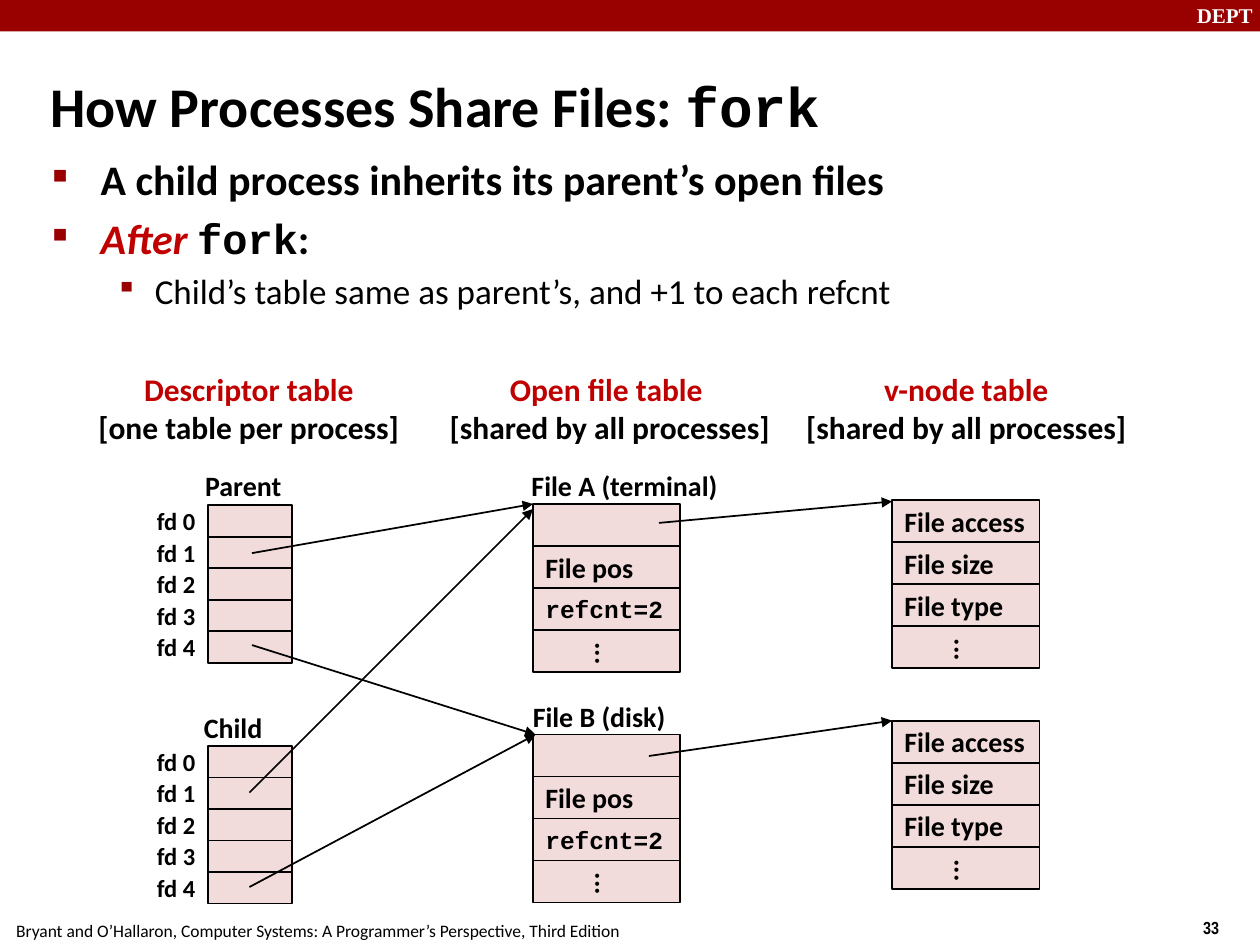
from lxml.etree import SubElement
from pptx import Presentation
from pptx.dml.color import RGBColor
from pptx.enum.shapes import MSO_CONNECTOR as Connector, MSO_SHAPE as Shape
from pptx.enum.text import MSO_ANCHOR as Anchor, PP_ALIGN as Align
from pptx.oxml.ns import qn
from pptx.util import Inches, Pt

CELL_WIDTH, CELL_HEIGHT = 1.17, 1 / 3
FD_WIDTH, FD_HEIGHT = 0.67, 0.25
FD_LEFT, FILE_LEFT, NODE_LEFT = 1.65, 4.23, 7.08


def color(value):
    return RGBColor.from_string(value)


def write(paragraph, text, size=16, font="Calibri", fill="000000", bold=True, italic=False):
    run = paragraph.add_run()
    run.text = text
    run.font.size = Pt(size)
    run.font.name = font
    run.font.bold = bold
    run.font.italic = italic
    run.font.color.rgb = color(fill)


class SlideBuilder:
    """Draws styled elements on the current slide."""

    red, accent, pink, black = "990000", "C00000", "F2DCDB", "000000"
    mono = "Courier New"

    def __init__(self, slide):
        self.slide = slide

    def text(self, left, top, width, height, *lines, anchor=Anchor.MIDDLE,
             align=Align.LEFT, wrap=False):
        box = self.slide.shapes.add_textbox(*map(Inches, (left, top, width, height)))
        frame = box.text_frame
        frame.word_wrap = wrap
        frame.vertical_anchor = anchor
        for index, runs in enumerate(lines):
            paragraph = frame.paragraphs[0] if index == 0 else frame.add_paragraph()
            paragraph.alignment = align
            for text, style in runs:
                write(paragraph, text, **style)
        return frame

    def label(self, left, top, width, height, text, align=Align.LEFT, anchor=Anchor.MIDDLE, **style):
        return self.text(left, top, width, height, [(text, style)], align=align, anchor=anchor)

    def bullet(self, paragraph, symbol, percent, margin, hanging, level, space):
        paragraph.level = level
        paragraph.space_before = Pt(space)
        properties = paragraph._p.get_or_add_pPr()
        properties.set("marL", str(Inches(margin)))
        properties.set("indent", str(-Inches(hanging)))
        bullet_color = SubElement(properties, qn("a:buClr"))
        SubElement(bullet_color, qn("a:srgbClr"), val=self.red)
        SubElement(properties, qn("a:buSzPct"), val=str(percent * 1000))
        SubElement(properties, qn("a:buChar"), char=symbol)

    def box(self, left, top, width, height, text="", fill=pink, outline=True, **style):
        shape = self.slide.shapes.add_shape(Shape.RECTANGLE, *map(Inches, (left, top, width, height)))
        shape.shadow.inherit = False
        shape.fill.solid()
        shape.fill.fore_color.rgb = color(fill)
        if outline:
            shape.line.color.rgb = color(self.black)
            shape.line.width = Pt(1)
        else:
            shape.line.fill.background()
        if text:
            frame = shape.text_frame
            frame.word_wrap = False
            frame.vertical_anchor = Anchor.MIDDLE
            frame.paragraphs[0].alignment = Align.LEFT
            write(frame.paragraphs[0], text, **style)
            if text == "...":
                frame._txBody.bodyPr.set("vert", "vert")

    def arrow(self, *ends):
        line = self.slide.shapes.add_connector(Connector.STRAIGHT, *map(Inches, ends))
        line.line.color.rgb = color(self.black)
        line.line.width = Pt(1)
        SubElement(line.line._get_or_add_ln(), qn("a:tailEnd"), type="triangle")
        SubElement(line._element.spPr, qn("a:effectLst"))

    def heading(self, left, width, title, scope):
        self.text(left, 2.89, width, 0.7, [(title, dict(size=18, fill=self.accent))],
                  [(scope, dict(size=18))], align=Align.CENTER)

    def descriptor_table(self, top):
        for number in range(5):
            row_top = top + number * FD_HEIGHT
            self.box(FD_LEFT, row_top, FD_WIDTH, FD_HEIGHT)
            self.label(FD_LEFT - FD_WIDTH, row_top, FD_WIDTH, FD_HEIGHT,
                       f"fd {number}", align=Align.RIGHT, size=14)

    def record(self, left, top, rows):
        for index, (text, style) in enumerate(rows):
            self.box(left, top + index * CELL_HEIGHT, CELL_WIDTH, CELL_HEIGHT, text, **style)


def main():
    presentation = Presentation()
    presentation.slide_width, presentation.slide_height = Inches(10), Inches(7.5)
    builder = SlideBuilder(presentation.slides.add_slide(presentation.slide_layouts[6]))
    mono = builder.mono

    builder.box(0, 0, 10, 0.25, fill=builder.red, outline=False)
    builder.label(9.4, -0.03, 0.67, 0.3, "DEPT", anchor=Anchor.TOP, size=12,
                  font="Times New Roman", fill="FFFFFF")
    builder.label(9.45, 7.23, 0.75, 0.29, "33", anchor=Anchor.TOP, size=10, font="Arial Narrow")
    builder.label(0.03, 7.25, 4.99, 0.27,
                  "Bryant and O’Hallaron, Computer Systems: A Programmer’s Perspective, Third Edition",
                  anchor=Anchor.TOP, size=10, bold=False)

    builder.text(0.3, 0.42, 8.3, 0.83, [("How Processes Share Files: ", dict(size=32)),
                                        ("fork", dict(size=32, font=mono))], wrap=True)
    body = builder.text(
        0.32, 1.17, 9.08, 1.42,
        [("A child process inherits its parent’s open files", dict(size=24))],
        [("After ", dict(size=24, fill=builder.accent, italic=True)),
         ("fork", dict(size=24, font=mono)), (":", dict(size=24))],
        [("Child’s table same as parent’s, and +1 to each refcnt", dict(size=20, bold=False))],
        anchor=Anchor.TOP, wrap=True)
    for paragraph in body.paragraphs[:2]:
        builder.bullet(paragraph, "■", 48, 0.38, 0.38, 0, 4.8)
    builder.bullet(body.paragraphs[2], "▪", 85, 0.81, 0.31, 1, 4)

    builder.heading(0.68, 2.59, "Descriptor table", "[one table per process]")
    builder.heading(3.47, 2.74, "Open file table ", "[shared by all processes]")
    builder.heading(6.3, 2.74, "v-node table", "[shared by all processes]")

    for top in (4.01, 5.92):
        builder.descriptor_table(top)
    file_rows = [("", {}), ("File pos", {}), ("refcnt=2", dict(size=14, font=mono)), ("...", {})]
    for top in (4, 5.83):
        builder.record(FILE_LEFT, top, file_rows)
    node_rows = [(text, {}) for text in ("File access", "File size", "File type", "...")]
    for top in (3.97, 5.72):
        builder.record(NODE_LEFT, top, node_rows)

    for left, top, width, name in (
        (1.53, 3.67, 0.9, "Parent"),
        (1.52, 5.59, 0.76, "Child"),
        (4.12, 3.67, 1.77, "File A (terminal)"),
        (4.13, 5.5, 1.35, "File B (disk)"),
    ):
        builder.label(left, top, width, 0.37, name)

    for ends in (
        (2, 4.39, FILE_LEFT, 4),
        (2, 5.12, 4.25, 5.83),
        (1.98, 6.29, FILE_LEFT, 4.04),
        (1.98, 7.04, 4.25, 5.83),
        (5.23, 4.15, NODE_LEFT, 3.98),
        (5.15, 6, NODE_LEFT, 5.72),
    ):
        builder.arrow(*ends)

    presentation.save("out.pptx")


if __name__ == "__main__":
    main()
